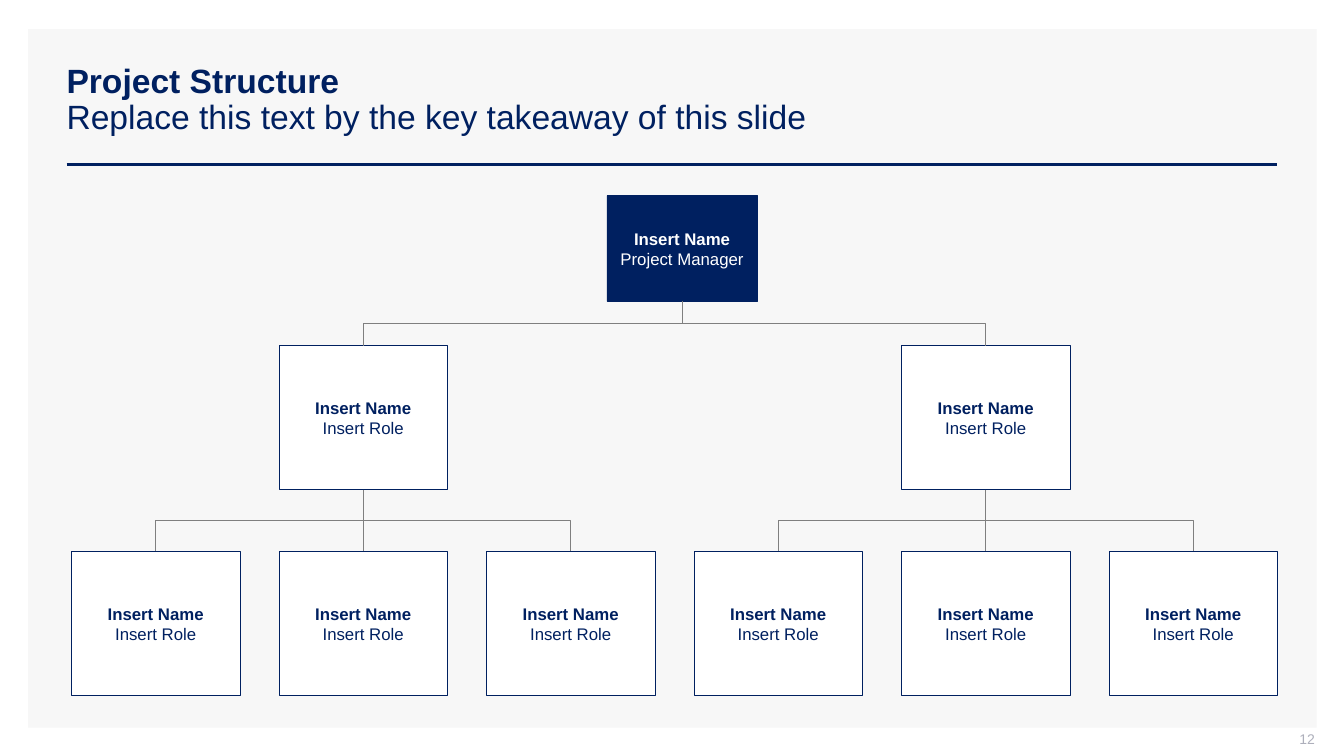
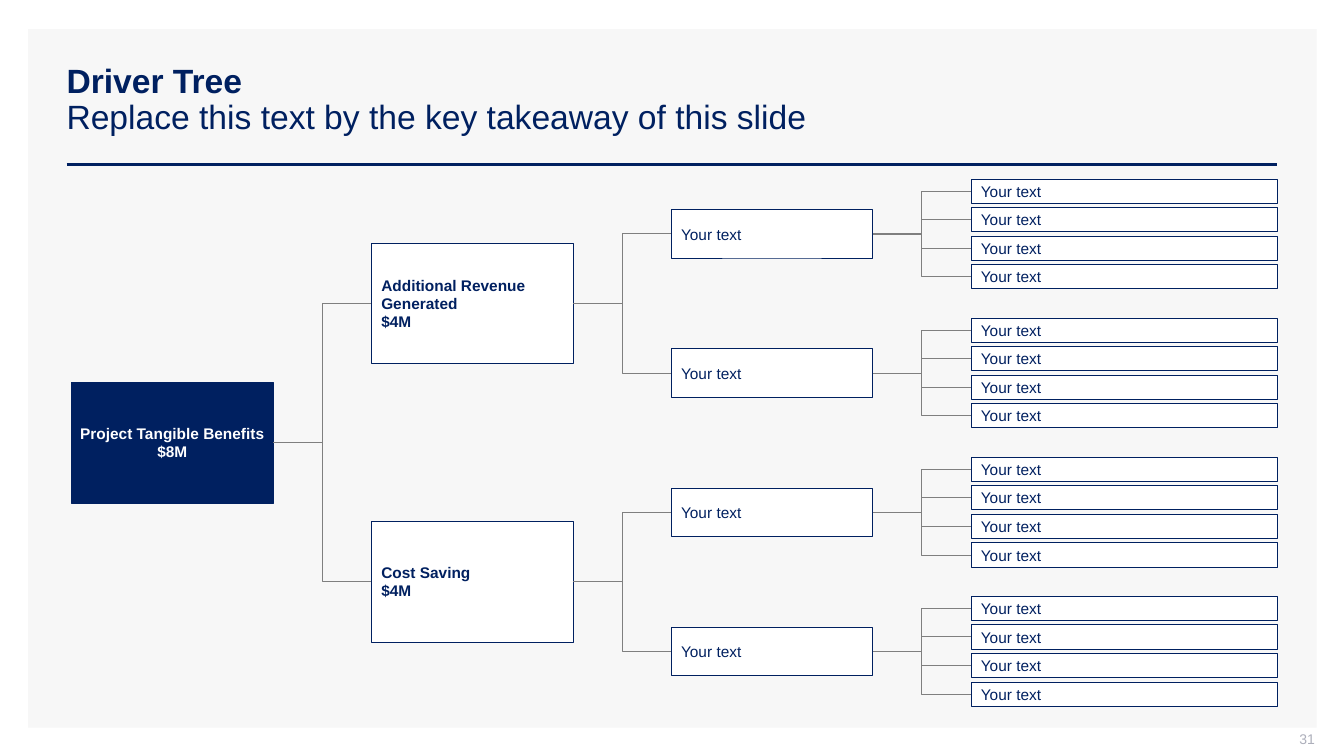
from lxml import etree
from pptx import Presentation
from pptx.dml.color import RGBColor
from pptx.enum.shapes import MSO_CONNECTOR, MSO_SHAPE
from pptx.enum.text import MSO_ANCHOR, MSO_AUTO_SIZE, PP_ALIGN
from pptx.oxml.ns import qn
from pptx.util import Inches, Pt

RECT = MSO_SHAPE.RECTANGLE
STRAIGHT, ELBOW = MSO_CONNECTOR.STRAIGHT, MSO_CONNECTOR.ELBOW
MIDDLE = MSO_ANCHOR.MIDDLE
LEFT, CENTER, RIGHT = PP_ALIGN.LEFT, PP_ALIGN.CENTER, PP_ALIGN.RIGHT
TOP_SIDE, LEFT_SIDE, BOTTOM_SIDE, RIGHT_SIDE = range(4)

FONT = "Arial"
NAVY, WHITE, PANEL, GREY, PALE = "002060", "FFFFFF", "F7F7F7", "7F7F7F", "ADAFBB"
rgb = RGBColor.from_string


def add_box(s, x, y, w, h, lines, size, fill=WHITE, align=CENTER):
    """Add a bordered box; lines holds one (text, bold) pair per paragraph."""
    sp = s.shapes.add_shape(RECT, Inches(x), Inches(y), Inches(w), Inches(h))
    sp.shadow.inherit = False
    sp.fill.solid()
    sp.fill.fore_color.rgb = rgb(fill)
    sp.line.color.rgb = rgb(NAVY)
    sp.line.width = Pt(0.5)
    tf = sp.text_frame
    tf.word_wrap = True
    tf.vertical_anchor = MIDDLE
    tf.margin_left = Inches(0.1 if align == LEFT else 0.02)
    tf.margin_right = tf.margin_top = tf.margin_bottom = Inches(0.02)
    for i, (text, bold) in enumerate(lines):
        p = tf.paragraphs[0] if i == 0 else tf.add_paragraph()
        p.alignment = align
        r = p.add_run()
        r.text = text
        r.font.name, r.font.size, r.font.bold = FONT, Pt(size), bold
        r.font.color.rgb = rgb(NAVY if fill == WHITE else WHITE)
    return sp


def link(s, parent, child, begin_side, end_side):
    """Join two boxes with a thin line, bent where they are not aligned."""
    vertical = begin_side == BOTTOM_SIDE
    aligned = vertical and abs(parent.left + parent.width / 2
                               - child.left - child.width / 2) < Inches(0.01)
    c = s.shapes.add_connector(STRAIGHT if aligned else ELBOW, 0, 0, 0, 0)
    c.begin_connect(parent, begin_side)
    c.end_connect(child, end_side)
    c.line.color.rgb = rgb(GREY)
    c.line.width = Pt(0.5)
    etree.SubElement(c._element.spPr, qn("a:effectLst"))
    if vertical and not aligned:
        # A bent connector leaves sideways, so turn it to leave downwards.
        to_right = c.end_x > c.begin_x
        mid_x, mid_y = c.left + c.width // 2, c.top + c.height // 2
        c.width, c.height = c.height, c.width
        c.left, c.top = mid_x - c.width // 2, mid_y - c.height // 2
        xfrm = c._element.spPr.find(qn("a:xfrm"))
        xfrm.set("rot", "16200000" if to_right else "5400000")
        xfrm.set("flipH", "1" if to_right else "0")


prs = Presentation()
prs.slide_width, prs.slide_height = Inches(13.33), Inches(7.5)
layout = prs.slide_layouts[5]
title_style = prs.slide_master.element.find(".//" + qn("p:titleStyle"))
title_style.find(".//" + qn("a:defRPr")).set("sz", "2400")
for ph in list(layout.placeholders)[1:]:
    ph._element.getparent().remove(ph._element)

# Titles and page numbers
slides = []
for heading, number in (("Project Structure", "12"), ("Driver Tree", "31")):
    s = prs.slides.add_slide(layout)
    slides.append(s)
    title = s.shapes.title
    title.left, title.top = Inches(0.56), Inches(0.4)
    title.width, title.height = Inches(12.11), Inches(1.19)
    tf = title.text_frame
    tf.word_wrap = True
    tf.auto_size = MSO_AUTO_SIZE.NONE
    tf.vertical_anchor = MIDDLE
    p = tf.paragraphs[0]
    p.alignment = LEFT
    p.line_spacing = 0.9
    for text, bold in ((heading, True),
                       ("Replace this text by the key takeaway of this slide", False)):
        if not bold:
            p.add_line_break()
        r = p.add_run()
        r.text = text
        r.font.name, r.font.size, r.font.bold = FONT, Pt(24), bold
        r.font.color.rgb = rgb(NAVY)

    page = s.shapes.add_textbox(Inches(10.04), Inches(7.25), Inches(3), Inches(0.21))
    tf = page.text_frame
    tf.word_wrap = True
    tf.vertical_anchor = MIDDLE
    tf.margin_right = tf.margin_top = 0
    p = tf.paragraphs[0]
    p.alignment = RIGHT
    r = p.add_run()
    r.text = number
    r.font.name, r.font.size = FONT, Pt(10)
    r.font.color.rgb = rgb(PALE)

structure, drivers = slides

# Panel and title rule, moved to the layout behind its title
panel = structure.shapes.add_shape(RECT, Inches(0.28), Inches(0.29),
                                   Inches(12.78), Inches(6.93))
panel.shadow.inherit = False
panel.fill.solid()
panel.fill.fore_color.rgb = rgb(PANEL)
panel.line.fill.background()
rule = structure.shapes.add_connector(STRAIGHT, Inches(0.66), Inches(1.63),
                                      Inches(12.67), Inches(1.63))
rule.line.color.rgb = rgb(NAVY)
rule.line.width = Pt(2)
etree.SubElement(rule._element.spPr, qn("a:effectLst"))
for position, sp in enumerate((panel, rule), start=2):
    layout.shapes._spTree.insert(position, sp._element)

# Project structure: manager, two leads, three members under each lead
MEMBER = [("Insert Name", True), ("Insert Role", False)]
FIRST_X, MEMBER_PITCH = 0.71, (11 - 0.71) / 5
manager = add_box(structure, 6.02, 1.94, 1.49, 1.05,
                  [("Insert Name", True), ("Project Manager", False)], 12, NAVY)
for team in range(2):
    columns = [FIRST_X + (3 * team + i) * MEMBER_PITCH for i in range(3)]
    lead = add_box(structure, columns[1], 3.43, 1.67, 1.43, MEMBER, 12)
    link(structure, manager, lead, BOTTOM_SIDE, TOP_SIDE)
    for x in columns:
        member = add_box(structure, x, 5.47, 1.67, 1.43, MEMBER, 12)
        link(structure, lead, member, BOTTOM_SIDE, TOP_SIDE)

# Driver tree: each level is centred on the groups it splits into
LEAF = [("Your text", False)]
GROUP_Y, GROUP_PITCH, LEAF_SPAN = 2.32, 1.38, 0.85
level_x = [FIRST_X + i * (9.63 - FIRST_X) / 3 for i in range(4)]
root_y = GROUP_Y + 1.5 * GROUP_PITCH
root = add_box(drivers, level_x[0], root_y - 0.6, 2, 1.2,
               [("Project Tangible Benefits", True), ("$8M", True)], 11, NAVY)
for b, name in enumerate(("Additional Revenue Generated", "Cost Saving")):
    branch_y = GROUP_Y + (2 * b + 0.5) * GROUP_PITCH
    branch = add_box(drivers, level_x[1], branch_y - 0.6, 2, 1.2,
                     [(name, True), ("$4M", True)], 11, align=LEFT)
    link(drivers, root, branch, RIGHT_SIDE, LEFT_SIDE)
    for g in range(2):
        group_y = GROUP_Y + (2 * b + g) * GROUP_PITCH
        group = add_box(drivers, level_x[2], group_y - 0.24, 2, 0.48, LEAF, 11, align=LEFT)
        link(drivers, branch, group, RIGHT_SIDE, LEFT_SIDE)
        for i in range(4):
            leaf_y = group_y + LEAF_SPAN * (i / 3 - 0.5)
            leaf = add_box(drivers, level_x[3], leaf_y - 0.12, 3.04, 0.24,
                           LEAF, 11, align=LEFT)
            link(drivers, group, leaf, RIGHT_SIDE, LEFT_SIDE)

prs.save("out.pptx")
